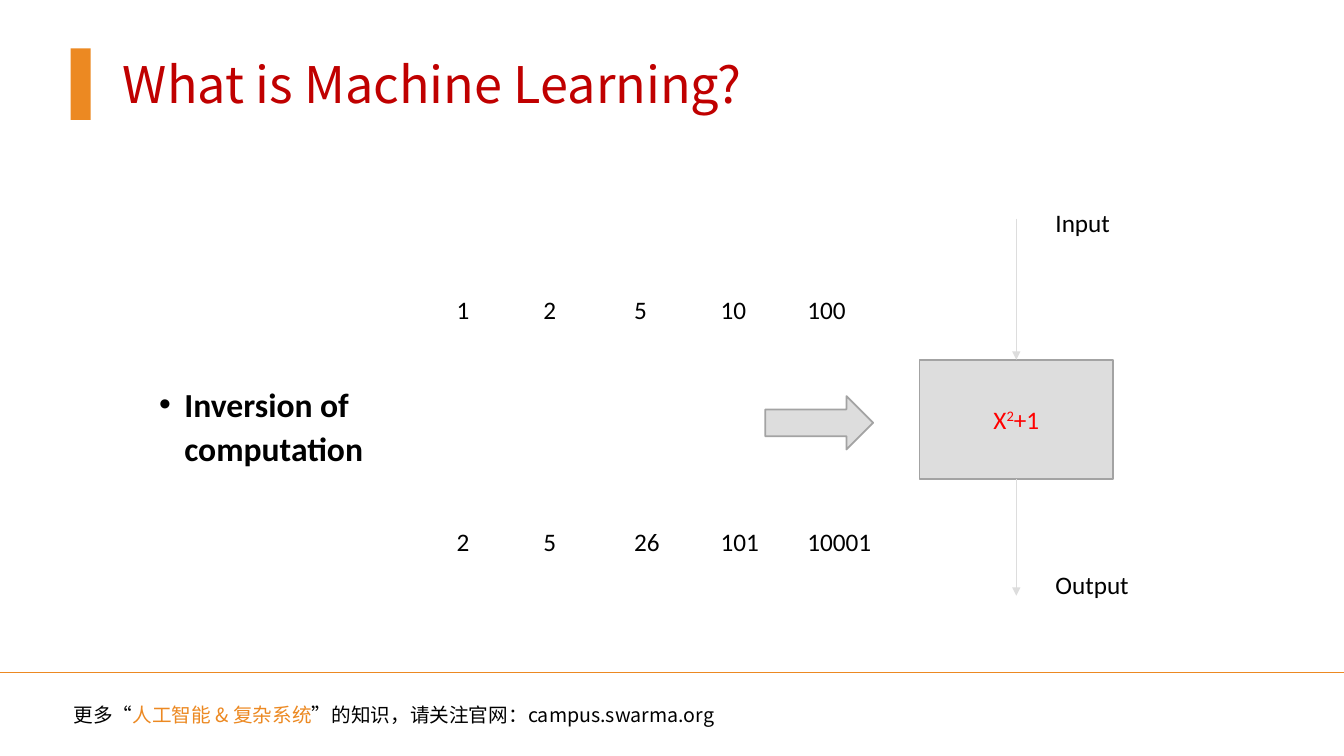
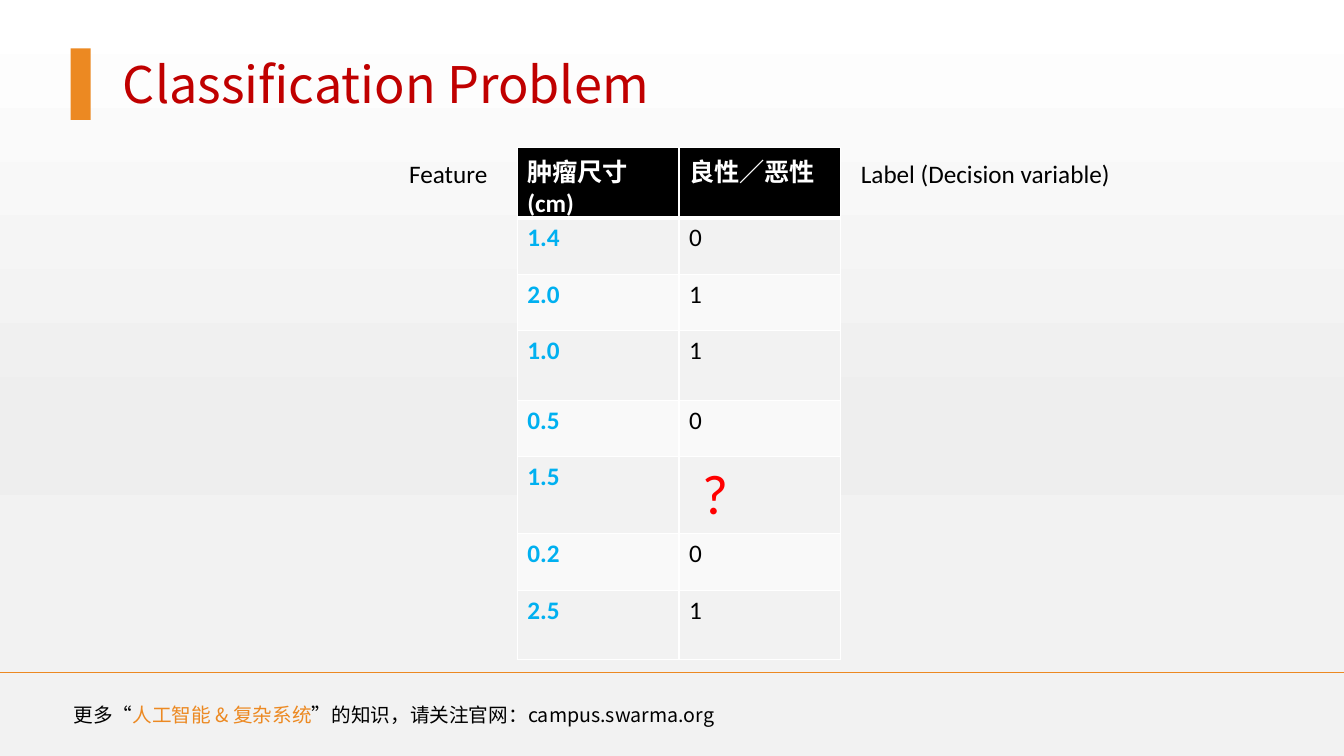
from lxml import etree
from pptx import Presentation
from pptx.dml.color import RGBColor
from pptx.enum.shapes import MSO_CONNECTOR, MSO_SHAPE
from pptx.enum.text import MSO_ANCHOR, PP_ALIGN
from pptx.oxml.ns import qn
from pptx.util import Inches, Pt

STRAIGHT = MSO_CONNECTOR.STRAIGHT
RECTANGLE = MSO_SHAPE.RECTANGLE
RIGHT_ARROW = MSO_SHAPE.RIGHT_ARROW
MIDDLE = MSO_ANCHOR.MIDDLE
CENTER = PP_ALIGN.CENTER
TOP_SIDE, BOTTOM_SIDE = 0, 2

COLORS = {
    "title": "C00000",
    "accent": "EC8922",
    "text": "000000",
    "white": "FFFFFF",
    "block": "DDDDDD",
    "outline": "A3A3A3",
    "red": "FF0000",
    "feature": "00B0F0",
    "shade": "EEEEEE",
    "odd_row": "F2F2F2",
    "even_row": "F9F9F9",
}
BACKDROP_STOPS = [(0, "white"), (57, "shade"), (74, "odd_row"), (100, "odd_row")]
BODY_FONT = "Calibri"
CJK_FONT = "Noto Sans CJK SC"
SLIDE_WIDTH, SLIDE_HEIGHT = 13.33, 7.5


def color(name):
    return RGBColor.from_string(COLORS[name])


def add_run(paragraph, text, size=18, color_name="text", font=BODY_FONT, bold=False, baseline=0):
    """Add a styled run; baseline is a percentage above the line."""
    run = paragraph.add_run()
    run.text = text
    run.font.size = Pt(size)
    run.font.bold = bold
    run.font.color.rgb = color(color_name)
    run.font.name = font
    properties = run._r.get_or_add_rPr()
    etree.SubElement(properties, qn("a:ea"), typeface=CJK_FONT)
    if baseline:
        properties.set("baseline", str(baseline * 1000))


def add_text_box(slide, left, top, width, height):
    """Add a wrapping text box and return its first paragraph."""
    box = slide.shapes.add_textbox(Inches(left), Inches(top), Inches(width), Inches(height))
    box.text_frame.word_wrap = True
    return box.text_frame.paragraphs[0]


def add_label(slide, text, left, top, width):
    add_run(add_text_box(slide, left, top, width, 0.4), text)


def add_block(slide, kind, left, top, width, height, fill, outline=None):
    shape = slide.shapes.add_shape(kind, Inches(left), Inches(top), Inches(width), Inches(height))
    shape.shadow.inherit = False
    shape.fill.solid()
    shape.fill.fore_color.rgb = color(fill)
    if outline:
        shape.line.color.rgb = color(outline)
        shape.line.width = Pt(1.25)
    else:
        shape.line.fill.background()
    return shape


def add_line(slide, start, end, color_name, arrow=False):
    line = slide.shapes.add_connector(STRAIGHT, *(Inches(value) for value in (*start, *end)))
    line.line.color.rgb = color(color_name)
    line.line.width = Pt(1)
    if arrow:
        etree.SubElement(line.line._get_or_add_ln(), qn("a:tailEnd"), type="triangle")
    etree.SubElement(line._element.spPr, qn("a:effectLst"))
    return line


def add_bullet(slide, text, left, top, width, height):
    paragraph = add_text_box(slide, left, top, width, height)
    properties = paragraph._p.get_or_add_pPr()
    properties.set("marL", str(Inches(0.25)))
    properties.set("indent", str(-Inches(0.25)))
    bullet_color = etree.SubElement(properties, qn("a:buClr"))
    etree.SubElement(bullet_color, qn("a:srgbClr"), val=COLORS["text"])
    etree.SubElement(properties, qn("a:buFont"), typeface="Arial")
    etree.SubElement(properties, qn("a:buChar"), char="•")
    paragraph.line_spacing = 1.1
    add_run(paragraph, text, size=24, bold=True)


def add_gradient_backdrop(slide):
    """Cover the slide with a gradient that runs from top to bottom."""
    backdrop = add_block(slide, RECTANGLE, 0, 0, SLIDE_WIDTH, SLIDE_HEIGHT, "white")
    backdrop.fill.gradient()
    backdrop.fill.gradient_angle = 270
    stops = next(backdrop._element.iter(qn("a:gsLst")))
    for stop in list(stops):
        stops.remove(stop)
    for position, color_name in BACKDROP_STOPS:
        stop = etree.SubElement(stops, qn("a:gs"), pos=str(position * 1000))
        etree.SubElement(stop, qn("a:srgbClr"), val=COLORS[color_name])


def set_borders(cell, top=1, bottom=1):
    """Draw white cell borders, with widths in points."""
    properties = cell._tc.get_or_add_tcPr()
    widths = {"a:lnL": 1, "a:lnR": 1, "a:lnT": top, "a:lnB": bottom}
    for index, (tag, width) in enumerate(widths.items()):
        border = etree.Element(qn(tag), w=str(Pt(width)))
        fill = etree.SubElement(border, qn("a:solidFill"))
        etree.SubElement(fill, qn("a:srgbClr"), val=COLORS["white"])
        properties.insert(index, border)


def fill_cell(cell, text, fill, **style):
    cell.fill.solid()
    cell.fill.fore_color.rgb = color(fill)
    add_run(cell.text_frame.paragraphs[0], text, **style)


def add_sample_table(slide, headers, samples, left, top, width, row_heights):
    frame = slide.shapes.add_table(
        len(samples) + 1, len(headers), Inches(left), Inches(top),
        Inches(width), Inches(sum(row_heights)))
    table = frame.table
    for column in table.columns:
        column.width = Inches(width / len(headers))
    for row, height in zip(table.rows, row_heights):
        row.height = Inches(height)
    for index, header in enumerate(headers):
        cell = table.cell(0, index)
        fill_cell(cell, header, "text", color_name="white", bold=True)
        set_borders(cell, bottom=3)
    for row, (feature, label) in enumerate(samples, start=1):
        fill = "odd_row" if row % 2 else "even_row"
        feature_cell, label_cell = table.cell(row, 0), table.cell(row, 1)
        fill_cell(feature_cell, feature, fill, color_name="feature", bold=True)
        if label == "?":
            fill_cell(label_cell, label, fill, size=40, color_name="red")
            label_cell.margin_left = Inches(0.23)
        else:
            fill_cell(label_cell, label, fill)
        for cell in (feature_cell, label_cell):
            set_borders(cell, top=3 if row == 1 else 1)


def add_slide(presentation, title, gradient=False):
    """Add a blank slide with the shared title, accent bar and footer."""
    slide = presentation.slides.add_slide(presentation.slide_layouts[6])
    if gradient:
        add_gradient_backdrop(slide)
    add_run(add_text_box(slide, 1.12, 0.48, 8.02, 0.71), title, 36, "title", CJK_FONT)
    add_block(slide, RECTANGLE, 0.7, 0.48, 0.2, 0.71, "accent")
    add_line(slide, (0, 6.67), (SLIDE_WIDTH, 6.67), "accent")
    footer = add_text_box(slide, 0.63, 6.92, 7.85, 0.34)
    for text, color_name in [
        ("更多“", "text"),
        ("人工智能 & 复杂系统", "accent"),
        ("”的知识，请关注官网：campus.swarma.org", "text"),
    ]:
        add_run(footer, text, 14, color_name, CJK_FONT)
    return slide


def build_machine_learning_slide(presentation):
    slide = add_slide(presentation, "What is Machine Learning?")

    function_box = add_block(slide, RECTANGLE, 9.12, 3.57, 1.92, 1.18, "block", "outline")
    function_box.text_frame.vertical_anchor = MIDDLE
    formula = function_box.text_frame.paragraphs[0]
    formula.alignment = CENTER
    for text, baseline in [("X", 0), ("2", 30), ("+1", 0)]:
        add_run(formula, text, color_name="red", baseline=baseline)

    input_arrow = add_line(slide, (10.08, 2.17), (10.08, 3.57), "block", arrow=True)
    input_arrow.end_connect(function_box, TOP_SIDE)
    output_arrow = add_line(slide, (10.08, 4.75), (10.08, 5.91), "block", arrow=True)
    output_arrow.begin_connect(function_box, BOTTOM_SIDE)
    add_label(slide, "Input", 10.37, 2.01, 1.34)
    add_label(slide, "Output", 10.37, 5.6, 1.34)

    number_lefts = [4.43, 5.29, 6.19, 7.05, 7.91]
    number_rows = [
        (2.87, ["1", "2", "5", "10", "100"]),
        (5.17, ["2", "5", "26", "101", "10001"]),
    ]
    for top, numbers in number_rows:
        for left, number in zip(number_lefts, numbers):
            add_label(slide, number, left, top, 0.86)

    add_block(slide, RIGHT_ARROW, 7.59, 3.93, 1.07, 0.53, "block", "outline")
    add_bullet(slide, "Inversion of computation", 1.48, 3.72, 2.95, 1.03)


def build_classification_slide(presentation):
    slide = add_slide(presentation, "Classification Problem", gradient=True)
    samples = [
        ("1.4", "0"),
        ("2.0", "1"),
        ("1.0", "1"),
        ("0.5", "0"),
        ("1.5", "?"),
        ("0.2", "0"),
        ("2.5", "1"),
    ]
    row_heights = [0.56, 0.56, 0.56, 0.69, 0.56, 0.69, 0.56, 0.69]
    add_sample_table(slide, ["肿瘤尺寸(cm)", "良性／恶性"], samples, 5.13, 1.46, 3.21, row_heights)
    add_label(slide, "Feature", 3.96, 1.52, 1.1)
    add_label(slide, "Label (Decision variable)", 8.44, 1.52, 3.04)


def main():
    presentation = Presentation()
    presentation.slide_width = Inches(SLIDE_WIDTH)
    presentation.slide_height = Inches(SLIDE_HEIGHT)
    build_machine_learning_slide(presentation)
    build_classification_slide(presentation)
    presentation.save("out.pptx")


if __name__ == "__main__":
    main()
